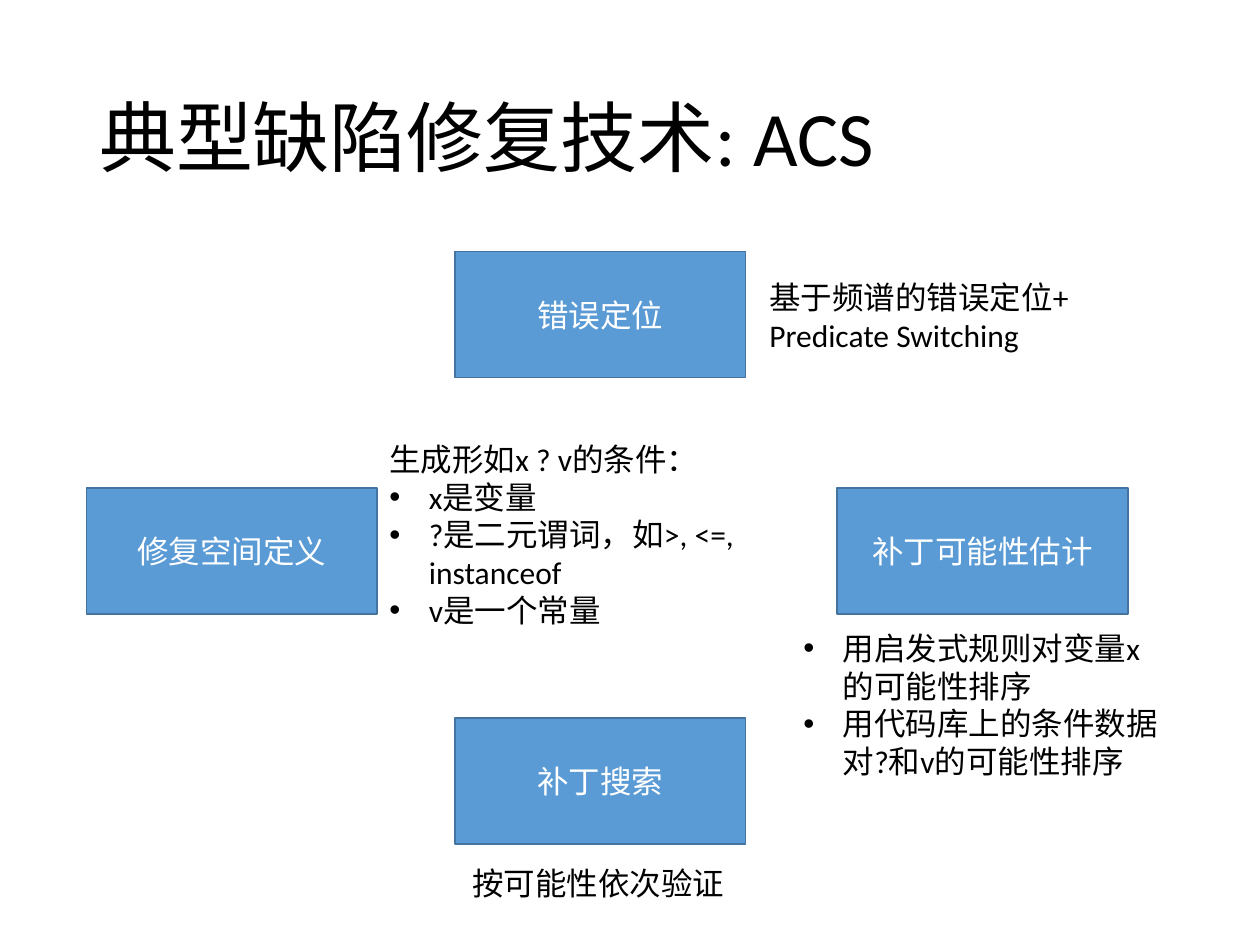
from lxml import etree
from pptx import Presentation
from pptx.dml.color import RGBColor
from pptx.enum.shapes import MSO_SHAPE
from pptx.enum.text import MSO_ANCHOR, MSO_AUTO_SIZE, PP_ALIGN
from pptx.oxml.ns import qn
from pptx.util import Pt

RECTANGLE = MSO_SHAPE.RECTANGLE
MIDDLE = MSO_ANCHOR.MIDDLE
CENTER = PP_ALIGN.CENTER
GROW = MSO_AUTO_SIZE.SHAPE_TO_FIT_TEXT

BLACK = RGBColor(0x00, 0x00, 0x00)
WHITE = RGBColor(0xFF, 0xFF, 0xFF)
BLUE = RGBColor(0x5B, 0x9B, 0xD5)
DARK_BLUE = RGBColor(0x43, 0x73, 0x9E)

FONT = "Calibri"
BULLET = "• "
INDENT = Pt(22.5)


def write(paragraph, text, size, color):
    paragraph.text = text
    for run in paragraph.runs:
        run.font.name = FONT
        run.font.size = Pt(size)
        run.font.color.rgb = color


def add_bullet(paragraph):
    properties = paragraph._p.get_or_add_pPr()
    properties.set("marL", str(INDENT))
    properties.set("indent", str(-INDENT))
    etree.SubElement(properties, qn("a:buFont")).set("typeface", "Arial")
    etree.SubElement(properties, qn("a:buChar")).set("char", BULLET.strip())


prs = Presentation()
prs.slide_width = Pt(720)
prs.slide_height = Pt(540)
slide = prs.slides.add_slide(prs.slide_layouts[6])

title = slide.shapes.add_textbox(Pt(49.5), Pt(28.75), Pt(543.5), Pt(104.4))
title.text_frame.word_wrap = True
title.text_frame.vertical_anchor = MIDDLE
heading = title.text_frame.paragraphs[0]
heading.line_spacing = 0.9
write(heading, "典型缺陷修复技术: ACS", 44, BLACK)

steps = [
    ("错误定位", 260, 143.75),
    ("修复空间定义", 49.5, 278.75),
    ("补丁可能性估计", 478.5, 278.75),
    ("补丁搜索", 260, 410.25),
]
for label, left, top in steps:
    step = slide.shapes.add_shape(RECTANGLE, Pt(left), Pt(top), Pt(166), Pt(72))
    step.shadow.inherit = False
    step.fill.solid()
    step.fill.fore_color.rgb = BLUE
    step.line.color.rgb = DARK_BLUE
    step.line.width = Pt(1)
    step.text_frame.vertical_anchor = MIDDLE
    step_label = step.text_frame.paragraphs[0]
    step_label.alignment = CENTER
    write(step_label, label, 18, WHITE)

notes = [
    (432.5, 155.5, 187, 51, True, ["基于频谱的错误定位+", "Predicate Switching"]),
    (215.5, 247.75, 236, 116.5, True, [
        "生成形如x ? v的条件：",
        "• x是变量",
        "• ?是二元谓词，如>, <=, instanceof",
        "• v是一个常量",
    ]),
    (452, 355.75, 218, 94.5, True, [
        "• 用启发式规则对变量x的可能性排序",
        "• 用代码库上的条件数据对?和v的可能性排序",
    ]),
    (262.75, 490.25, 160, 29, False, ["按可能性依次验证"]),
]
for left, top, width, height, wraps, lines in notes:
    note = slide.shapes.add_textbox(Pt(left), Pt(top), Pt(width), Pt(height))
    frame = note.text_frame
    frame.word_wrap = wraps
    frame.auto_size = GROW
    for index, line in enumerate(lines):
        paragraph = frame.add_paragraph() if index else frame.paragraphs[0]
        write(paragraph, line.removeprefix(BULLET), 18, BLACK)
        if line.startswith(BULLET):
            add_bullet(paragraph)

prs.save("out.pptx")
